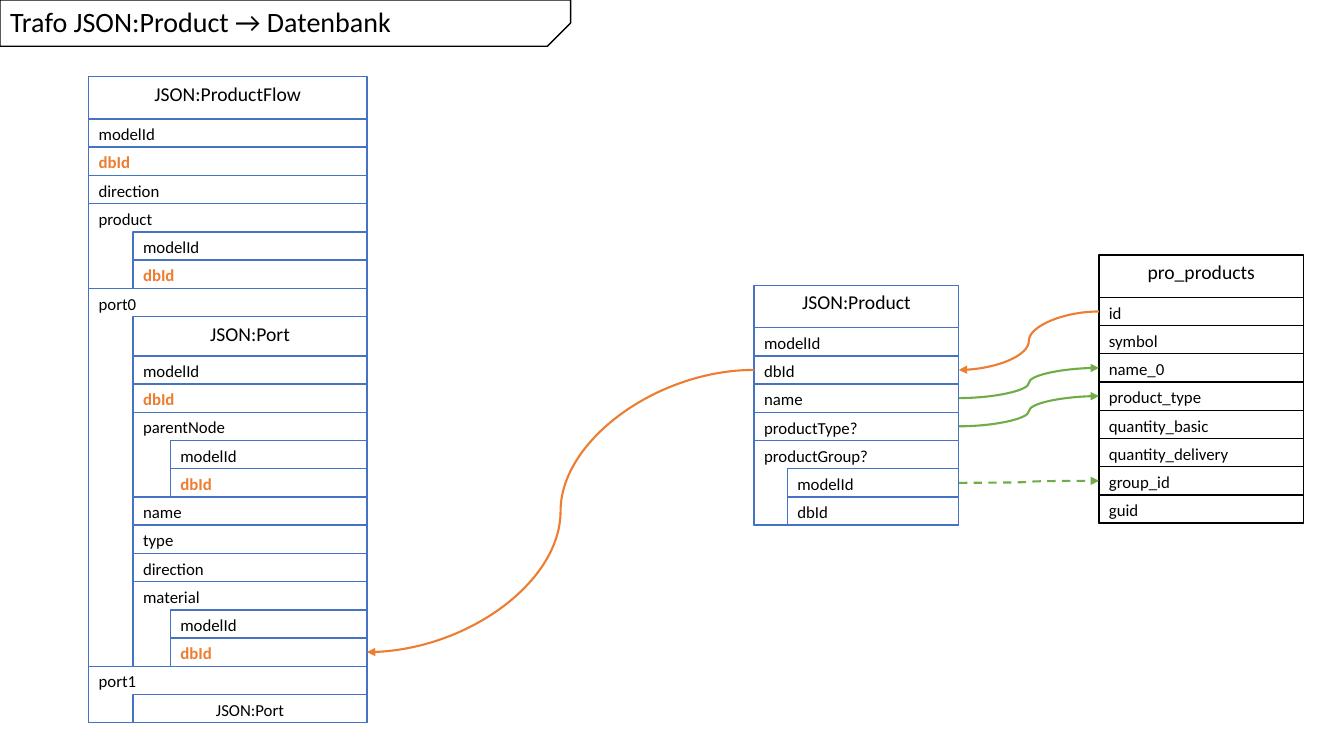
from typing import NamedTuple

from lxml import etree
from pptx import Presentation
from pptx.dml.color import RGBColor
from pptx.enum.dml import MSO_LINE
from pptx.enum.shapes import MSO_CONNECTOR, MSO_SHAPE
from pptx.enum.text import MSO_ANCHOR, MSO_AUTO_SIZE, PP_ALIGN
from pptx.oxml.ns import qn
from pptx.util import Inches, Pt

RECT = MSO_SHAPE.RECTANGLE
SNIP = MSO_SHAPE.SNIP_1_RECTANGLE
CURVE = MSO_CONNECTOR.CURVE
DASH = MSO_LINE.DASH
LEFT = PP_ALIGN.LEFT
CENTER = PP_ALIGN.CENTER
TOP = MSO_ANCHOR.TOP
MIDDLE = MSO_ANCHOR.MIDDLE
NO_FIT = MSO_AUTO_SIZE.NONE

COLORS = {
    "white": "FFFFFF",
    "black": "000000",
    "blue": "4472C4",
    "orange": "ED7D31",
    "green": "70AD47",
}
FONT = "Calibri"
ROW = 0.28
HEAD = 0.42
SITE_LEFT, SITE_RIGHT = 1, 3


class Node(NamedTuple):
    name: str
    rows: tuple = ()
    head: float = 0
    indent: float = 0
    strong: bool = False

    def height(self):
        return (self.head or ROW) + sum(row.height() for row in self.rows)


def fields(*names):
    return tuple(Node(name) for name in names)


MODEL_ID = Node("modelId")
DB_KEY = Node("dbId", strong=True)
REFERENCE = (MODEL_ID, DB_KEY)

PORT = Node("JSON:Port", (
    *REFERENCE,
    Node("parentNode", REFERENCE, indent=0.37),
    *fields("name", "type", "direction"),
    Node("material", REFERENCE, indent=0.37),
), head=0.39)

FLOW = Node("JSON:ProductFlow", (
    *REFERENCE,
    Node("direction"),
    Node("product", REFERENCE, indent=0.44),
    Node("port0", (PORT,), indent=0.44),
    Node("port1", (Node("JSON:Port", head=ROW),), indent=0.44),
), head=HEAD)

PRODUCT = Node("JSON:Product", (
    *fields("modelId", "dbId", "name", "productType?"),
    Node("productGroup?", fields("modelId", "dbId"), indent=0.33),
), head=HEAD)

DB_TABLE = Node("pro_products", fields(
    "id", "symbol", "name_0", "product_type", "quantity_basic",
    "quantity_delivery", "group_id", "guid",
), head=HEAD)


class Diagram:
    def __init__(self, slide):
        self.s = slide

    def color(self, name):
        return RGBColor.from_string(COLORS[name])

    def format_text(self, tf, size, color, align, anchor, bold=False):
        tf.word_wrap = True
        tf.auto_size = NO_FIT
        tf.vertical_anchor = anchor
        p = tf.paragraphs[0]
        p.alignment = align
        for r in p.runs:
            r.font.name = FONT
            r.font.size = Pt(size)
            r.font.bold = bold
            r.font.color.rgb = self.color(color)

    def shape(self, shapes, kind, x, y, w, h, line):
        sp = shapes.add_shape(kind, Inches(x), Inches(y), Inches(w), Inches(h))
        sp.shadow.inherit = False
        sp.fill.solid()
        sp.fill.fore_color.rgb = self.color("white")
        sp.line.color.rgb = self.color(line)
        sp.line.width = Pt(1)
        return sp

    def title(self, text, w, h):
        banner = self.shape(self.s.shapes, SNIP, 0, 0, w, h, "black")
        banner.adjustments[0] = 0.5
        banner._element.spPr.find(qn("a:xfrm")).set("flipV", "1")
        sp = self.s.shapes.title
        sp._element.addprevious(banner._element)
        sp.left, sp.top, sp.width, sp.height = 0, 0, Inches(w), Inches(h)
        sp.text_frame.text = text
        sp.text_frame.paragraphs[0].line_spacing = 0.9
        self.format_text(sp.text_frame, 20, "black", LEFT, MIDDLE)

    def node(self, shapes, node, x, y, w, line, boxes, parent=""):
        sp = self.shape(shapes, RECT, x, y, w, node.height(), line)
        sp.text_frame.text = node.name
        self.format_text(
            sp.text_frame,
            14 if node.head > ROW else 12,
            "orange" if node.strong else "black",
            CENTER if node.head else LEFT,
            TOP,
            node.strong,
        )
        boxes[parent, node.name] = sp
        y += node.head or ROW
        for row in node.rows:
            self.node(shapes, row, x + node.indent, y, w - node.indent,
                      line, boxes, node.name)
            y += row.height()

    def table(self, root, x, y, w, line):
        boxes = {}
        group = self.s.shapes.add_group_shape()
        self.node(group.shapes, root, x, y, w, line, boxes)
        return boxes

    def arrow(self, start, start_site, end, end_site, color, dash=None):
        c = self.s.shapes.add_connector(CURVE, 0, 0, 0, 0)
        c.begin_connect(start, start_site)
        c.end_connect(end, end_site)
        c.line.color.rgb = self.color(color)
        c.line.width = Pt(1.5)
        if dash:
            c.line.dash_style = dash
        ln = c.line._get_or_add_ln()
        etree.SubElement(ln, qn("a:tailEnd"), type="triangle")
        etree.SubElement(c._element.spPr, qn("a:effectLst"))


def main():
    prs = Presentation()
    prs.slide_width = Inches(13.33)
    prs.slide_height = Inches(7.5)
    d = Diagram(prs.slides.add_slide(prs.slide_layouts[5]))

    d.title("Trafo JSON:Product → Datenbank", 5.66, 0.46)
    flow = d.table(FLOW, 0.88, 0.76, 2.76, "blue")
    product = d.table(PRODUCT, 7.48, 2.83, 2.03, "blue")
    db = d.table(DB_TABLE, 10.9, 2.53, 2.03, "black")

    for source, target, dash in (
        (("JSON:Product", "name"), "name_0", None),
        (("JSON:Product", "productType?"), "product_type", None),
        (("productGroup?", "modelId"), "group_id", DASH),
    ):
        d.arrow(product[source], SITE_RIGHT,
                db["pro_products", target], SITE_LEFT, "green", dash)

    product_id = product["JSON:Product", "dbId"]
    for start, end in (
        (db["pro_products", "id"], product_id),
        (product_id, flow["material", "dbId"]),
    ):
        d.arrow(start, SITE_LEFT, end, SITE_RIGHT, "orange")

    prs.save("out.pptx")


if __name__ == "__main__":
    main()
